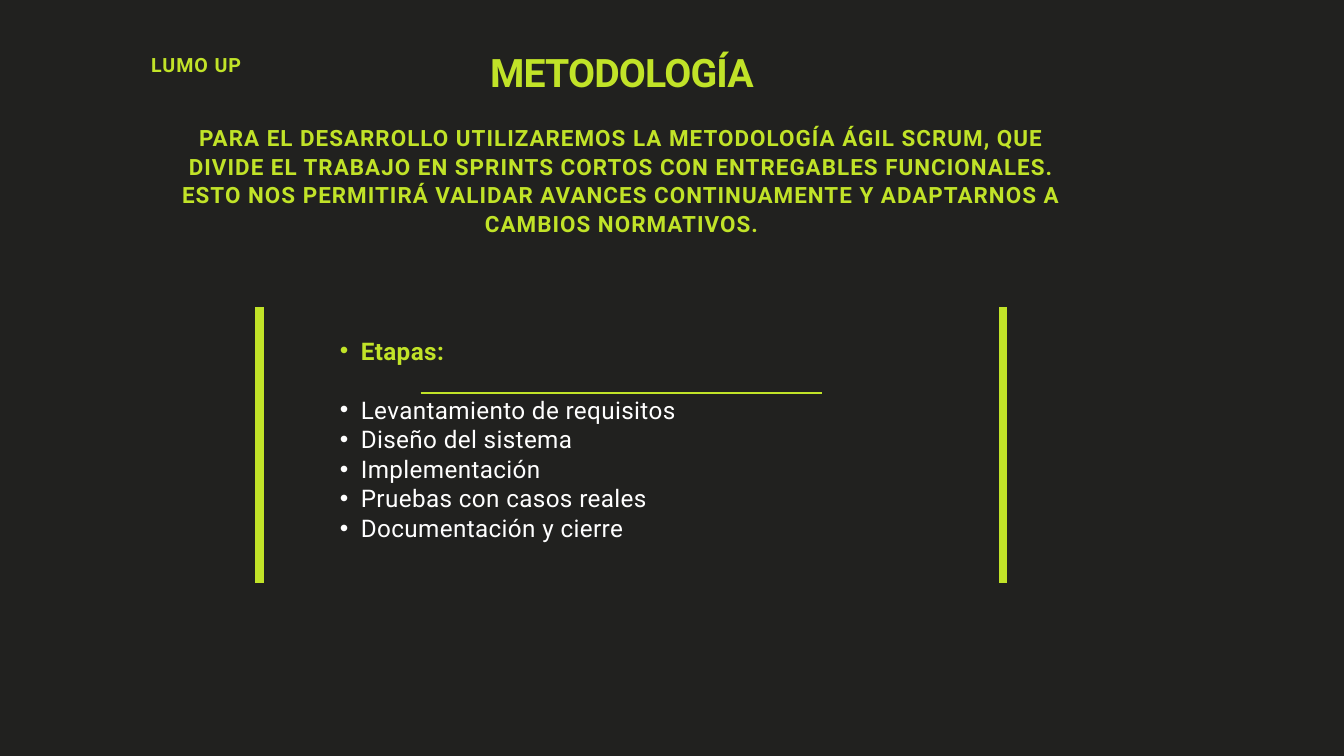
from collections import namedtuple
from dataclasses import dataclass

from lxml.etree import SubElement
from pptx import Presentation
from pptx.dml.color import RGBColor
from pptx.enum.shapes import MSO_CONNECTOR
from pptx.enum.text import PP_ALIGN
from pptx.oxml.ns import qn
from pptx.util import Inches, Pt

Box = namedtuple("Box", "left top width height")
Style = namedtuple("Style", "size color bold track lead align")


@dataclass(frozen=True)
class Theme:
    font: str = "Roboto"
    back: str = "21211F"
    lime: str = "C1E328"
    bar: float = 9
    rule: float = 1.5
    tag: Style = Style(21, "C1E328", True, 1, 26.9, PP_ALIGN.JUSTIFY)
    title: Style = Style(42, "C1E328", True, -0.9, 39.5, PP_ALIGN.CENTER)
    intro: Style = Style(24, "C1E328", True, 1.1, 30.7, PP_ALIGN.CENTER)
    head: Style = Style(26, "C1E328", True, 0.4, 31.7, PP_ALIGN.JUSTIFY)
    item: Style = Style(26, "FFFFFF", False, 0.4, 31.7, PP_ALIGN.JUSTIFY)


THEME = Theme()
INTRO = (
    "PARA EL DESARROLLO UTILIZAREMOS LA METODOLOGÍA ÁGIL SCRUM, QUE DIVIDE EL "
    "TRABAJO EN SPRINTS CORTOS CON ENTREGABLES FUNCIONALES. ESTO NOS PERMITIRÁ "
    "VALIDAR AVANCES CONTINUAMENTE Y ADAPTARNOS A CAMBIOS NORMATIVOS."
)
STAGES = [
    "Levantamiento de requisitos",
    "Diseño del sistema",
    "Implementación",
    "Pruebas con casos reales",
    "Documentación y cierre",
]


def part(box, left, top, width, height):
    """Return the box at the given percentages of another box."""
    return Box(
        int(box.left + box.width * left / 100),
        int(box.top + box.height * top / 100),
        int(box.width * width / 100),
        int(box.height * height / 100),
    )


def set_all(target, values):
    for name, value in values.items():
        setattr(target, name, value)


def add_frame(slide, box):
    frame = slide.shapes.add_textbox(*box).text_frame
    set_all(frame, {
        "word_wrap": True, "margin_left": 0, "margin_top": 0,
        "margin_right": 0, "margin_bottom": 0,
    })
    return frame


def write(para, text, style):
    set_all(para, {"alignment": style.align, "line_spacing": Pt(style.lead)})
    run = para.add_run()
    run.text = text
    set_all(run.font, {
        "name": THEME.font, "size": Pt(style.size), "bold": style.bold,
    })
    run.font.color.rgb = RGBColor.from_string(style.color)
    run.font._element.set("spc", str(round(style.track * 100)))


def add_bullet(para):
    para.level = 1
    props = para._p.get_or_add_pPr()
    props.set("marL", str(Inches(0.61)))
    props.set("indent", str(Inches(-0.31)))
    SubElement(props, qn("a:buFont"), typeface="Arial")
    SubElement(props, qn("a:buChar"), char="•")


def add_line(slide, box, width):
    """Draw a line from the top left to the bottom right of the box."""
    line = slide.shapes.add_connector(
        MSO_CONNECTOR.STRAIGHT, box.left, box.top,
        box.left + box.width, box.top + box.height,
    )
    line.line.width = Pt(width)
    line.line.color.rgb = RGBColor.from_string(THEME.lime)
    SubElement(line._element.spPr, qn("a:effectLst"))


def add_header(slide, box):
    rows = [
        ("LUMO UP", THEME.tag, (11.25, 20.27, 8.8, 9.6)),
        ("METODOLOGÍA", THEME.title, (23.1, 23.2, 46.35, 15.47)),
        (INTRO, THEME.intro, (12.9, 48.53, 66.7, 44.27)),
    ]
    for text, style, place in rows:
        frame = add_frame(slide, part(box, *place))
        write(frame.paragraphs[0], text, style)


def add_stages(slide, box):
    for side in (0, 100):
        add_line(slide, part(box, side, 0, 0, 100), THEME.bar)
    add_line(slide, part(box, 21.68, 31.22, 53.93, 0), THEME.rule)

    frame = add_frame(slide, part(box, 8.13, 10.24, 83.74, 106.59))
    head = frame.paragraphs[0]
    write(head, "Etapas:", THEME.head)
    head.space_after = Pt(THEME.head.lead)
    for stage in STAGES:
        write(frame.add_paragraph(), stage, THEME.item)
    for para in frame.paragraphs:
        add_bullet(para)


def main():
    deck = Presentation()
    set_all(deck, {"slide_width": Inches(20), "slide_height": Inches(11.25)})
    slide = deck.slides.add_slide(deck.slide_layouts[6])
    fill = slide.background.fill
    fill.solid()
    fill.fore_color.rgb = RGBColor.from_string(THEME.back)

    page = Box(0, 0, deck.slide_width, deck.slide_height)
    add_header(slide, part(page, 0, 0, 100, 100 / 3))
    add_stages(slide, part(page, 19.3, 40.62, 55.35, 36.45))
    deck.save("out.pptx")


if __name__ == "__main__":
    main()
